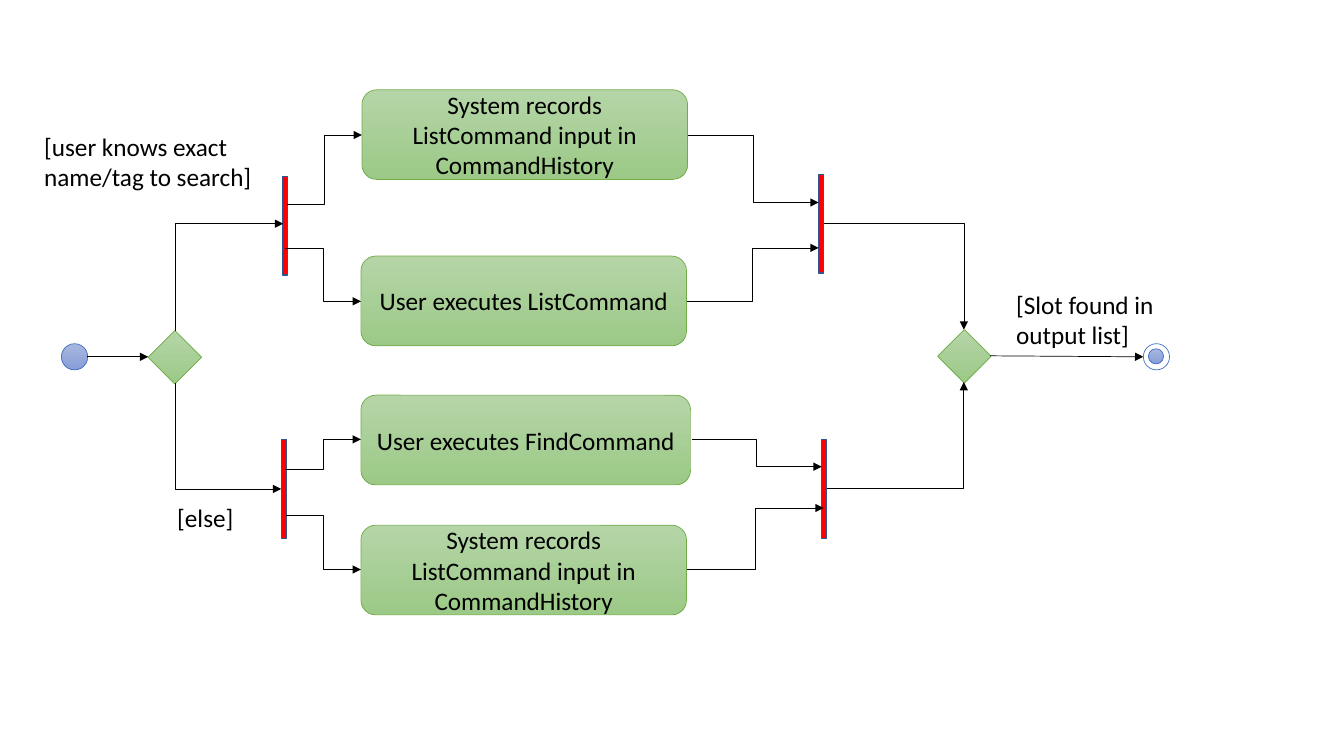
from lxml import etree
from pptx import Presentation
from pptx import util as u
from pptx.dml.color import RGBColor
from pptx.enum import shapes, text
from pptx.oxml.ns import qn

SHAPE = shapes.MSO_SHAPE
GREEN = ("B5D5A7", "9CC987")
BLUE = ("A8B7DF", "889ED7")


def color(value):
    return RGBColor.from_string(value)


class Diagram:
    font = "Calibri"
    size = u.Pt(18)
    ink = "000000"
    thin = 0.5

    def __init__(self, page):
        self.page = page

    def set_words(self, frame, words, align):
        frame.word_wrap = True
        frame.text = words
        for para in frame.paragraphs:
            para.alignment = align
            for span in para.runs:
                span.font.name = self.font
                span.font.size = self.size
                span.font.color.rgb = color(self.ink)

    def shape(self, kind, left, top, width, height, fill, line, weight=thin):
        box = self.page.shapes.add_shape(
            kind, u.Inches(left), u.Inches(top), u.Inches(width), u.Inches(height))
        box.shadow.inherit = False
        if isinstance(fill, tuple):
            box.fill.gradient()
            box.fill.gradient_angle = 270
            for stop, shade, position in zip(box.fill.gradient_stops, fill, (0, 1)):
                stop.color.rgb = color(shade)
                stop.position = position
        else:
            box.fill.solid()
            box.fill.fore_color.rgb = color(fill)
        box.line.color.rgb = color(line)
        box.line.width = u.Pt(weight)
        return box

    def action(self, left, top, width, words):
        box = self.shape(SHAPE.ROUNDED_RECTANGLE, left, top, width, 0.89, GREEN, "70AD47")
        box.text_frame.vertical_anchor = text.MSO_ANCHOR.MIDDLE
        self.set_words(box.text_frame, words, text.PP_ALIGN.CENTER)

    def decision(self, left, top):
        self.shape(SHAPE.DIAMOND, left, top, 0.53, 0.53, GREEN, "70AD47")

    def bar(self, left, top):
        self.shape(SHAPE.RECTANGLE, left, top, 0.05, 0.98, "FF0000", "325491", 1)

    def circle(self, left, top, size, fill):
        return self.shape(SHAPE.OVAL, left, top, size, size, fill, "4472C4")

    def label(self, left, top, width, height, words):
        box = self.page.shapes.add_textbox(
            u.Inches(left), u.Inches(top), u.Inches(width), u.Inches(height))
        self.set_words(box.text_frame, words, text.PP_ALIGN.LEFT)
        box.text_frame.auto_size = text.MSO_AUTO_SIZE.SHAPE_TO_FIT_TEXT

    def arrow(self, x1, y1, x2, y2, kind=shapes.MSO_CONNECTOR.STRAIGHT):
        link = self.page.shapes.add_connector(
            kind, u.Inches(x1), u.Inches(y1), u.Inches(x2), u.Inches(y2))
        link.line.color.rgb = color(self.ink)
        link.line.width = u.Pt(self.thin)
        properties = link.element.spPr
        etree.SubElement(properties.find(qn("a:ln")), qn("a:tailEnd"), type="triangle")
        etree.SubElement(properties, qn("a:effectLst"))
        return link

    def step(self, x1, y1, x2, y2):
        return self.arrow(x1, y1, x2, y2, shapes.MSO_CONNECTOR.ELBOW)

    def corner(self, x1, y1, x2, y2, vertical_first=False):
        if vertical_first:
            center_x, center_y = (x1 + x2) / 2, (y1 + y2) / 2
            across, down = (x2 - x1) / 2, (y2 - y1) / 2
            x1, x2 = center_x - down, center_x + down
            y1, y2 = center_y + across, center_y - across
        properties = self.step(x1, y1, x2, y2).element.spPr
        properties.find(qn("a:prstGeom")).set("prst", "bentConnector2")
        if vertical_first:
            properties.find(qn("a:xfrm")).set("rot", str(90 * 60000))


deck = Presentation()
deck.slide_width, deck.slide_height = u.Inches(13.33), u.Inches(7.5)
page = deck.slides.add_slide(deck.slide_layouts[6])
diagram = Diagram(page)

diagram.circle(0.61, 3.41, 0.26, BLUE)
page.shapes.add_group_shape([
    diagram.circle(11.34, 3.41, 0.26, "FFFFFF"),
    diagram.circle(11.39, 3.46, 0.15, BLUE),
])

for left, top in ((1.47, 3.28), (9.3, 3.27)):
    diagram.decision(left, top)

for left, top in ((2.8, 1.75), (2.79, 4.36), (8.12, 1.73), (8.15, 4.36)):
    diagram.bar(left, top)

RECORD = "System records ListCommand input in CommandHistory"
for left, top, width, words in (
    (3.59, 0.89, 3.23, RECORD),
    (3.58, 2.54, 3.23, "User executes ListCommand"),
    (3.58, 3.92, 3.27, "User executes FindCommand"),
    (3.58, 5.21, 3.23, RECORD),
):
    diagram.action(left, top, width, words)

for left, top, width, height, words in (
    (0.34, 1.25, 2.26, 0.71, "[user knows exact name/tag to search]"),
    (1.66, 4.93, 0.93, 0.4, "[else]"),
    (9.98, 2.82, 1.62, 0.71, "[Slot found in output list]"),
):
    diagram.label(left, top, width, height, words)

diagram.arrow(0.86, 3.54, 1.47, 3.54)
diagram.arrow(9.82, 3.53, 11.34, 3.54)

diagram.corner(1.74, 3.28, 2.81, 2.22, vertical_first=True)
diagram.corner(1.74, 3.8, 2.79, 4.85, vertical_first=True)
diagram.corner(8.17, 2.22, 9.56, 3.27)
diagram.corner(8.2, 4.85, 9.56, 3.79)

for ends in (
    (2.85, 2.03, 3.59, 1.34),
    (2.83, 2.46, 3.58, 2.99),
    (2.83, 4.66, 3.58, 4.36),
    (2.84, 5.11, 3.58, 5.65),
    (6.82, 1.34, 8.12, 2.01),
    (6.81, 2.99, 8.12, 2.46),
    (6.86, 4.36, 8.15, 4.63),
    (6.81, 5.65, 8.17, 5.04),
):
    diagram.step(*ends)

deck.save("out.pptx")
